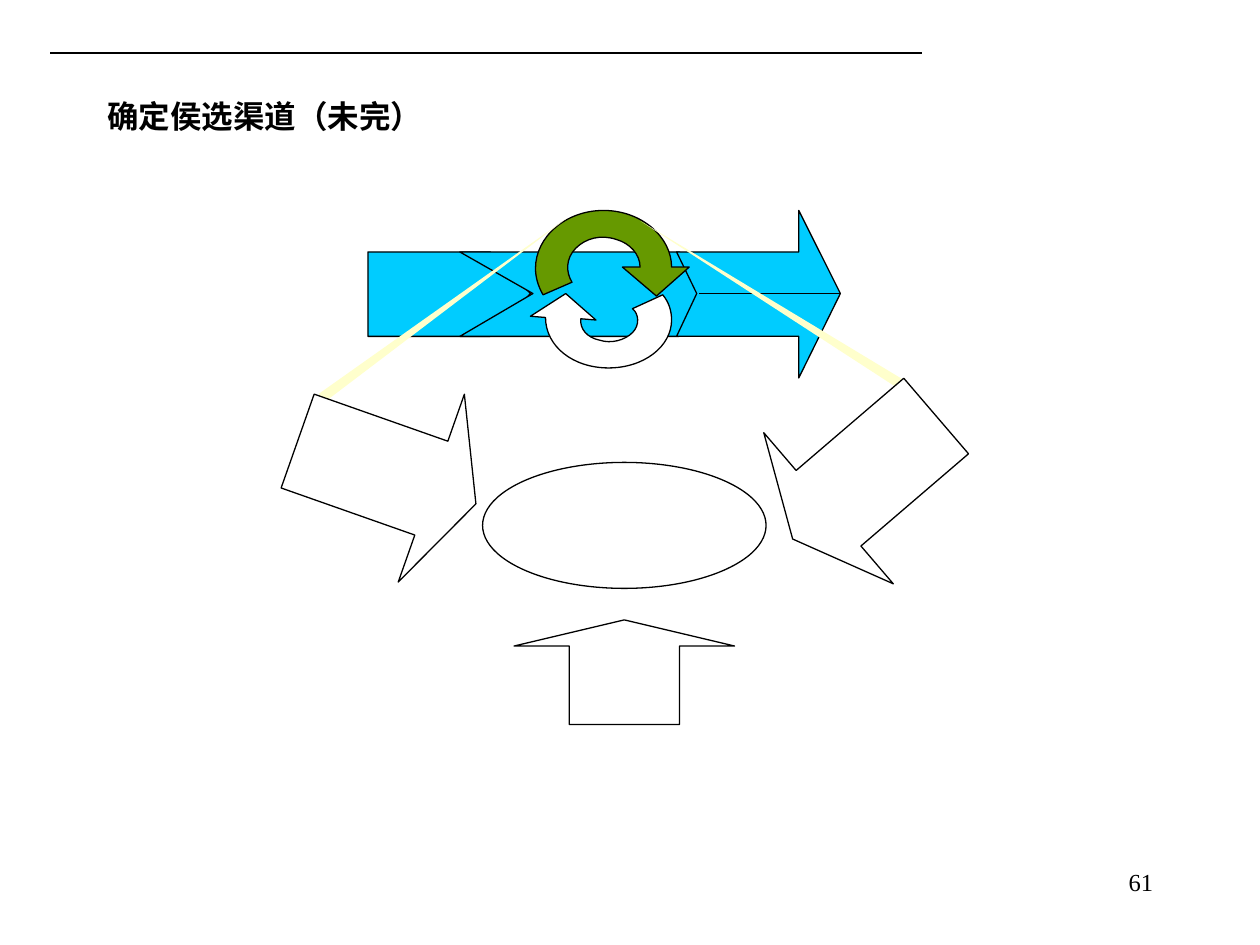
from lxml import etree
from pptx import Presentation
from pptx.dml.color import RGBColor
from pptx.enum.shapes import MSO_CONNECTOR as Link, MSO_SHAPE as Kind
from pptx.enum.text import MSO_ANCHOR as Anchor, PP_ALIGN as Align
from pptx.oxml.ns import qn
from pptx.util import Inches, Pt

BLACK = RGBColor(0, 0, 0)
WHITE = RGBColor(0xFF, 0xFF, 0xFF)
CYAN = RGBColor(0, 0xCC, 0xFF)
GREEN = RGBColor(0x66, 0x99, 0)
CREAM = RGBColor(0xFF, 0xFF, 0xCC)
FONT = "Times New Roman"


def paint(shape, fill, edge=True):
    shape.shadow.inherit = False
    shape.fill.solid()
    shape.fill.fore_color.rgb = fill
    if edge:
        shape.line.color.rgb = BLACK
        shape.line.width = Pt(0.75)
    else:
        shape.line.fill.background()


def trace(home, parts, fill):
    parts = [[Inches(n) for n in part] for part in parts]
    form = home.build_freeform(*parts[0], scale=1.0)
    form.add_line_segments([part[-2:] for part in parts[1:]], close=True)
    shape = form.convert_to_shape()
    lines = list(shape.element.iter(qn("a:lnTo")))
    for line, part in zip(lines, parts[1:]):
        if len(part) == 6:
            curve = etree.Element(qn("a:cubicBezTo"))
            for x, y in zip(part[::2], part[1::2]):
                etree.SubElement(curve, qn("a:pt"), x=str(x - shape.left),
                                 y=str(y - shape.top))
            line.getparent().replace(line, curve)
    paint(shape, fill)


deck = Presentation()
deck.slide_width, deck.slide_height = Inches(10), Inches(7.5)
slide = deck.slides.add_slide(deck.slide_layouts[5])
shapes = slide.shapes

title = shapes.title
title.left, title.top = Inches(0.75), Inches(0.42)
title.width, title.height = Inches(8.5), Inches(1)
title.text_frame.text = "确定侯选渠道（未完）"
title.text_frame.vertical_anchor = Anchor.MIDDLE
head = title.text_frame.paragraphs[0]
head.alignment = Align.LEFT
head.font.name = FONT
head.font.size = Pt(18)
head.font.bold = True
head.font.color.rgb = BLACK

band = shapes.add_group_shape().shapes
top, mid, base = 2, 2.33, 2.67
trace(band, [(2.92, top), (3.89, top), (4.21, mid), (3.89, base),
             (2.92, base)], CYAN)
trace(band, [(3.65, top), (5.39, top), (5.98, mid), (5.39, base),
             (3.65, base), (4.23, mid)], CYAN)
trace(band, [(5.37, top), (6.34, top), (6.34, 1.67), (6.67, mid), (6.34, 3),
             (6.34, base), (5.37, base), (5.53, mid)], CYAN)

for home, left, right, y, width in [(shapes, 0.4, 7.32, 0.42, 1.5),
                                    (band, 5.55, 6.67, mid, 0.75)]:
    rule = home.add_connector(Link.STRAIGHT, Inches(left), Inches(y),
                              Inches(right), Inches(y))
    rule.line.color.rgb = BLACK
    rule.line.width = Pt(width)
    etree.SubElement(rule.element.spPr, qn("a:effectLst"))

push = shapes.add_shape(Kind.UP_ARROW, Inches(4.08), Inches(4.92),
                        Inches(1.75), Inches(0.83))
push.adjustments[1] = 0.25
paint(push, WHITE)
paint(shapes.add_shape(Kind.OVAL, Inches(3.83), Inches(3.67),
                       Inches(2.25), Inches(1)), WHITE)

trace(shapes, [
    (5.08, 2.12), (5.08, 2.02, 5, 1.93, 4.89, 1.9),
    (4.77, 1.86, 4.65, 1.89, 4.57, 1.97), (4.49, 2.05, 4.49, 2.16, 4.54, 2.24),
    (4.31, 2.34), (4.27, 2.27, 4.25, 2.2, 4.25, 2.13),
    (4.25, 1.88, 4.49, 1.67, 4.79, 1.67), (5.09, 1.67, 5.33, 1.88, 5.33, 2.12),
    (5.47, 2.12), (5.21, 2.35), (4.94, 2.12)], GREEN)
trace(shapes, [
    (4.61, 2.53), (4.6, 2.61, 4.66, 2.68, 4.76, 2.7),
    (4.85, 2.73, 4.96, 2.7, 5.02, 2.64), (5.08, 2.58, 5.07, 2.49, 5.02, 2.45),
    (5.26, 2.34), (5.31, 2.4, 5.33, 2.47, 5.33, 2.54),
    (5.33, 2.75, 5.11, 2.92, 4.83, 2.92), (4.55, 2.92, 4.33, 2.75, 4.33, 2.52),
    (4.21, 2.51), (4.49, 2.33), (4.73, 2.54)], WHITE)

for beam, tilt, arrow, turn in [((3.5, 1.25), 54.7, (2.32, 2.96), 19.4),
                                ((6.08, 1.17), 303, (6.11, 3), 139.4)]:
    ray = shapes.add_shape(Kind.ISOSCELES_TRIANGLE, *map(Inches, beam),
                           Inches(0.08), Inches(2.42))
    ray.adjustments[0] = 0
    ray.rotation = tilt
    paint(ray, CREAM, False)
    push = shapes.add_shape(Kind.RIGHT_ARROW, *map(Inches, arrow),
                            Inches(1.5), Inches(1.58))
    push.adjustments[1] = 0.25
    push.rotation = turn
    paint(push, WHITE)

page = shapes.add_textbox(Inches(7.17), Inches(6.83), Inches(2.08),
                          Inches(0.5)).text_frame
page.word_wrap = True
page.text = "61"
mark = page.paragraphs[0]
mark.alignment = Align.RIGHT
mark.font.name = FONT
mark.font.size = Pt(14)
mark.font.color.rgb = BLACK

deck.save("out.pptx")
